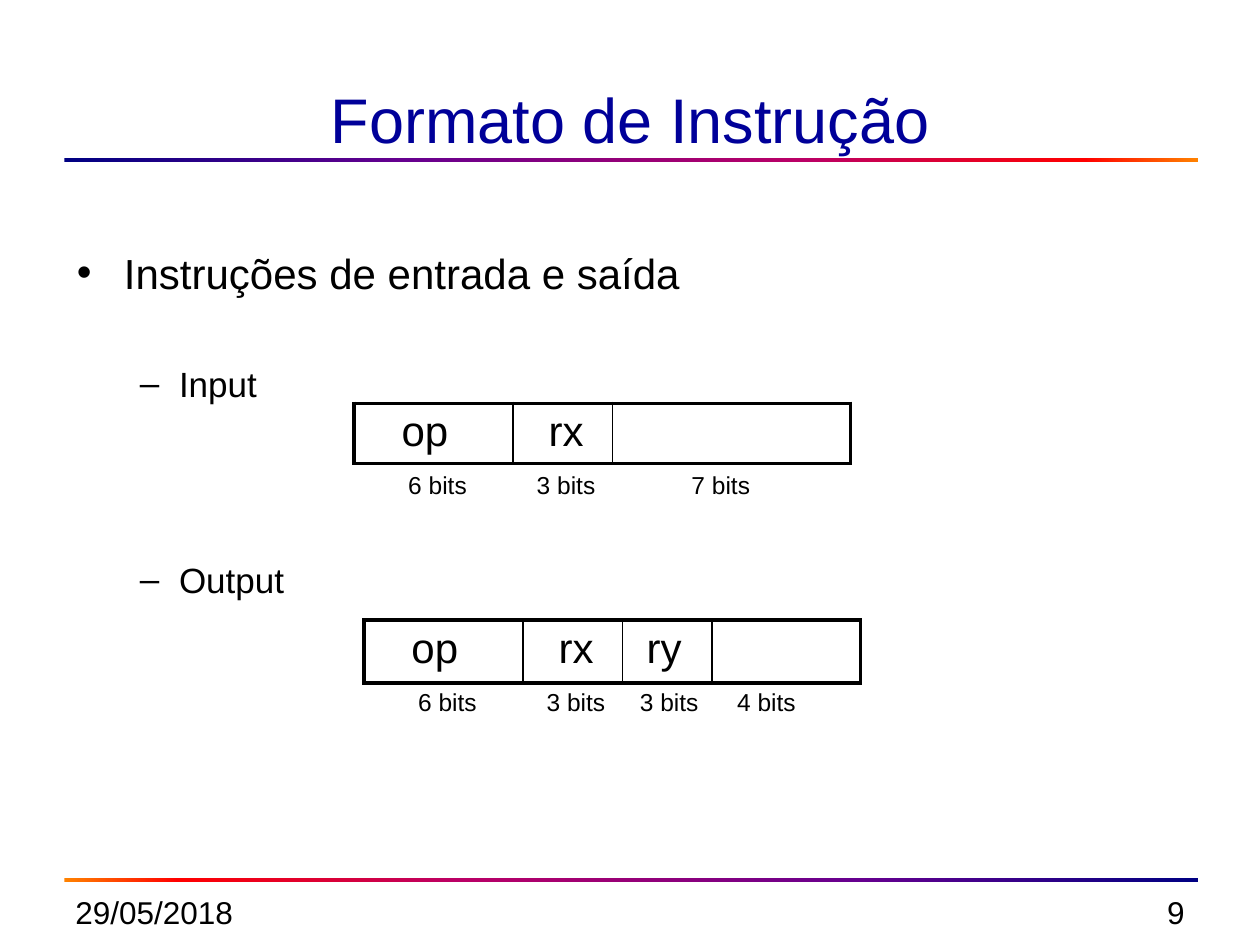
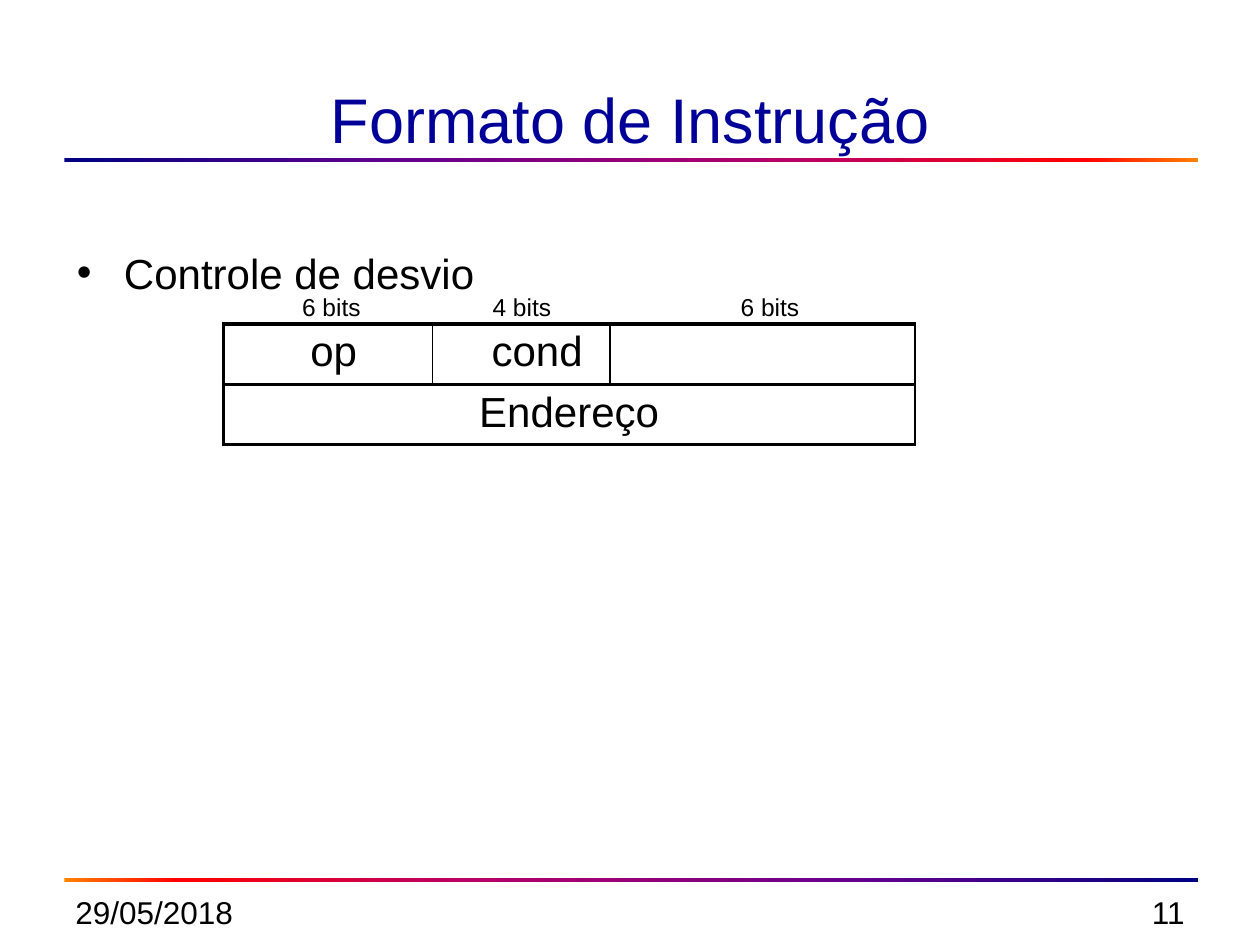
"""Build two slides on instruction formats: input/output and branch control."""
from dataclasses import dataclass
from typing import Any

from lxml import etree
from pptx import Presentation
from pptx import slide as sl
from pptx import table as tb
from pptx import util as u
from pptx.dml.color import RGBColor
from pptx.enum import shapes, text
from pptx.oxml.ns import qn

COLORS = {
    "title": "000099", "text": "000000", "navy": "000082", "purple": "66008F",
    "crimson": "BA0066", "red": "FF0000", "orange": "FF8200",
}
FONT = "Arial"
TITLE = "Formato de Instrução"
DATE = "29/05/2018"
RAINBOW = [(0, "navy"), (30, "purple"), (65, "crimson"), (90, "red"), (100, "orange")]
THICK, THIN = 2.25, 1
CELL_PAD = 0.25
SPACE = 0.235  # width of one 24 pt space, in cm
LABEL_W, LABEL_H = 1.7, 0.84
LEFT, RIGHT, CENTER = text.PP_ALIGN.LEFT, text.PP_ALIGN.RIGHT, text.PP_ALIGN.CENTER


@dataclass
class Bullet:
    """A line of the body; gap is the space before it in points."""
    words: str
    level: int = 0
    gap: float = 0


@dataclass
class Field:
    """A cell of an instruction word; pad counts spaces of left indent."""
    words: str = ""
    pad: int = 0
    align: Any = LEFT
    span: int = 1


@dataclass
class Word:
    """An instruction table with its bit-width labels, in cm."""
    left: float
    top: float
    row_h: float
    cols: list[float]
    rows: list[list[Field]]
    label_top: float
    labels: list[tuple[float, str]]
    right_edge: float = THICK


@dataclass
class Page:
    """The content of one slide."""
    number: str
    bullets: list[Bullet]
    words: list[Word]


# (bullet character, size in pt, left margin in cm, hanging indent in cm)
LEVELS = [("•", 24, 0.95, 0.95), ("–", 20, 2.06, 0.79)]

OP, RX = Field("op", 3), Field("rx", 2)
PAGES = [
    Page("9",
         [Bullet("Instruções de entrada e saída"),
          Bullet("Input", 1, 37), Bullet("Output", 1, 88)],
         [Word(7.14, 8.13, 1.19, [3.2, 2.01, 4.8], [[OP, RX, Field()]],
               9.35, [(7.98, "6 bits"), (10.57, "3 bits"), (13.69, "7 bits")]),
          Word(7.34, 12.5, 1.27, [3.2, 2.01, 1.8, 3],
               [[OP, RX, Field("ry", 1), Field()]],
               13.72, [(8.18, "6 bits"), (10.77, "3 bits"),
                       (12.65, "3 bits"), (14.61, "4 bits")])]),
    Page("11",
         [Bullet("Controle de desvio")],
         [Word(4.5, 6.53, 1.19, [4.22, 3.58, 6.15],
               [[Field("op", 1, CENTER), Field("cond", 4), Field()],
                [Field("Endereço", 0, CENTER, 3)]],
               5.76, [(5.84, "6 bits"), (9.68, "4 bits"), (14.68, "6 bits")],
               THIN)]),
]


def write(p: Any, words: str, size: float, color: str = "text", align: Any = LEFT) -> None:
    """Put one formatted run in a paragraph."""
    p.alignment = align
    r = p.add_run()
    r.text = words
    for name, value in {"name": FONT, "size": u.Pt(size), "bold": False}.items():
        setattr(r.font, name, value)
    r.font.color.rgb = RGBColor.from_string(COLORS[color])


def add_text(s: sl.Slide, box: tuple[float, ...], words: str, size: float,
             align: Any = LEFT, fit: bool = False) -> None:
    """Add a one-line text box; with fit it grows with its text and never wraps."""
    tf = s.shapes.add_textbox(*map(u.Cm, box)).text_frame
    tf.word_wrap = not fit
    if fit:
        tf.auto_size = text.MSO_AUTO_SIZE.SHAPE_TO_FIT_TEXT
    write(tf.paragraphs[0], words, size, align=align)


def add_rule(s: sl.Slide, top: float, stops: list[tuple[int, str]]) -> None:
    """Add a thin band with a horizontal gradient."""
    sp = s.shapes.add_shape(shapes.MSO_SHAPE.RECTANGLE, *map(u.Cm, (1.3, top, 22.86, 0.08)))
    sp.shadow.inherit = False
    sp.line.fill.background()
    sp.fill.gradient()
    sp.fill.gradient_angle = 0
    gs_list = next(sp._element.iter(qn("a:gsLst")))
    for gs in list(gs_list):
        gs_list.remove(gs)
    for pos, color in stops:
        gs = etree.SubElement(gs_list, qn("a:gs"), pos=str(pos * 1000))
        etree.SubElement(gs, qn("a:srgbClr"), val=COLORS[color])


def add_frame(s: sl.Slide, number: str) -> None:
    """Add the title, both rules, the date and the slide number."""
    add_rule(s, 3.18, RAINBOW)
    add_rule(s, 17.71, [(100 - pos, color) for pos, color in reversed(RAINBOW)])
    add_text(s, (1.27, 17.88, 5.92, 1.16), DATE, 18)
    add_text(s, (18.21, 17.88, 5.92, 1.16), number, 18, RIGHT)
    sp = s.shapes.title
    place = {"left": 1.3, "top": 1.27, "width": 22.81, "height": 2.01}
    for name, value in place.items():
        setattr(sp, name, u.Cm(value))
    tf = sp.text_frame
    look = {"auto_size": text.MSO_AUTO_SIZE.NONE, "word_wrap": True,
            "vertical_anchor": text.MSO_ANCHOR.BOTTOM}
    for name, value in look.items():
        setattr(tf, name, value)
    write(tf.paragraphs[0], TITLE, 36, "title", CENTER)


def add_body(s: sl.Slide, bullets: list[Bullet]) -> None:
    """Add the bulleted text."""
    tf = s.shapes.add_textbox(*map(u.Cm, (1.3, 3.66, 22.81, 13.59))).text_frame
    tf.word_wrap = True
    tf.margin_top = u.Cm(1.32)
    for i, bullet in enumerate(bullets):
        char, size, margin, hang = LEVELS[bullet.level]
        p = tf.add_paragraph() if i else tf.paragraphs[0]
        p.level = bullet.level
        p.space_before = u.Pt(bullet.gap)
        write(p, bullet.words, size)
        props = p._p.get_or_add_pPr()
        props.set("marL", str(u.Cm(margin)))
        props.set("indent", str(-u.Cm(hang)))
        etree.SubElement(props, qn("a:buFont"), typeface=FONT)
        etree.SubElement(props, qn("a:buChar"), char=char)


def set_borders(cell: tb._Cell, widths: dict[str, float]) -> None:
    """Give a cell black borders; keys are L, R, T and B in that order."""
    props = cell._tc.get_or_add_tcPr()
    for i, (side, width) in enumerate(widths.items()):
        ln = etree.Element(qn(f"a:ln{side}"), w=str(u.Pt(width)))
        fill = etree.SubElement(ln, qn("a:solidFill"))
        etree.SubElement(fill, qn("a:srgbClr"), val=COLORS["text"])
        props.insert(i, ln)


def add_word(s: sl.Slide, word: Word) -> None:
    """Add an instruction table and its bit labels."""
    n = len(word.cols)
    box = (word.left, word.top, sum(word.cols), word.row_h * len(word.rows))
    table = s.shapes.add_table(len(word.rows), n, *map(u.Cm, box)).table
    table.first_row = table.horz_banding = False
    for column, width in zip(table.columns, word.cols):
        column.width = u.Cm(width)
    for i, row in enumerate(word.rows):
        table.rows[i].height = u.Cm(word.row_h)
        for j in range(n):
            cell = table.cell(i, j)
            cell.fill.background()
            cell.margin_top = cell.margin_bottom = u.Cm(0.1)
            set_borders(cell, {"L": THIN if j else THICK,
                               "R": THIN if j < n - 1 else word.right_edge,
                               "T": THICK, "B": THICK})
        for j, field in enumerate(row):
            cell = table.cell(i, j)
            if field.span > 1:
                cell.merge(table.cell(i, j + field.span - 1))
            cell.margin_left = u.Cm(CELL_PAD + field.pad * SPACE)
            if field.words:
                write(cell.text_frame.paragraphs[0], field.words, 24, align=field.align)
    for left, words in word.labels:
        add_text(s, (left, word.label_top, LABEL_W, LABEL_H), words, 14, fit=True)


def main() -> None:
    """Build and save the presentation."""
    prs = Presentation()
    prs.slide_width, prs.slide_height = u.Cm(25.4), u.Cm(19.05)
    title_only = prs.slide_layouts[5]
    for page in PAGES:
        s = prs.slides.add_slide(title_only)
        add_frame(s, page.number)
        add_body(s, page.bullets)
        for word in page.words:
            add_word(s, word)
    prs.save("out.pptx")


main()
